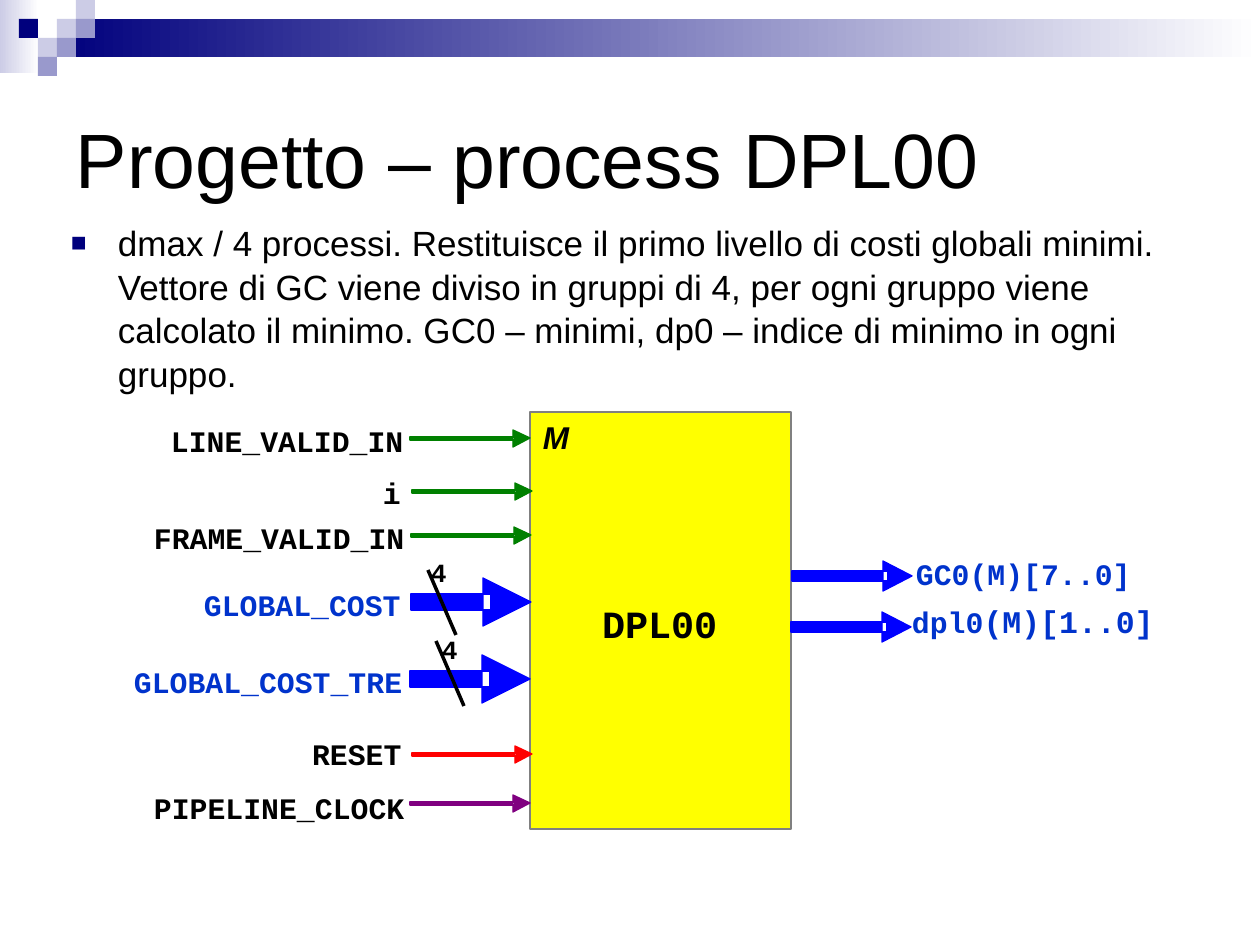
from dataclasses import dataclass
from typing import NamedTuple

from lxml.etree import SubElement
from pptx import Presentation
from pptx.dml.color import RGBColor as Rgb
from pptx.enum.shapes import MSO_CONNECTOR as Connector, MSO_SHAPE as Shape
from pptx.enum.text import MSO_ANCHOR as Anchor, PP_ALIGN as Align
from pptx.oxml.ns import qn
from pptx.util import Emu, Pt

EMU_PER_PX = 914400 / 126


class Box(NamedTuple):
    """A region in px."""
    left: int
    top: int
    width: int
    height: int

    def inner(self, left, top, width, height):
        """Return a box placed relative to this one."""
        return Box(self.left + left, self.top + top, width, height)


class ArrowStyle(NamedTuple):
    """Arrow proportions in px."""
    shaft: int
    head: int
    head_length: int
    overlap: int


@dataclass(frozen=True)
class Theme:
    """Colours, fonts and type sizes of the slide."""
    black: str = "000000"
    white: str = "FFFFFF"
    navy: str = "00007D"
    pale: str = "CCCCE6"
    lilac: str = "9999CC"
    yellow: str = "FFFF00"
    grey: str = "808080"
    green: str = "008000"
    red: str = "FF0000"
    purple: str = "800080"
    blue: str = "0000FF"
    bus: str = "0033CC"
    sans: str = "Arial"
    mono: str = "Courier New"
    title: int = 44
    body: int = 20
    block: int = 22
    index: int = 18
    signal: int = 17
    width_mark: int = 15


THEME = Theme()
THIN = ArrowStyle(3, 17, 17, 2)
WIDE = ArrowStyle(16, 48, 48, 8)
OUTPUT = ArrowStyle(10, 30, 29, 5)


def px(length):
    """Turn px into EMU."""
    return Emu(round(length * EMU_PER_PX))


def color(value):
    """Turn a hex string into a colour."""
    return Rgb.from_string(value)


def write(frame, *pieces, size, font=THEME.mono, ink=THEME.black, bold=False,
          italic=False, inset=(0, 0), anchor=Anchor.TOP):
    """Write text pieces, or (text, size) pairs, as one formatted paragraph."""
    frame.word_wrap = True
    frame.vertical_anchor = anchor
    frame.margin_left = frame.margin_right = px(inset[0])
    frame.margin_top = frame.margin_bottom = px(inset[1])
    para = frame.paragraphs[0]
    para.alignment = Align.LEFT
    for piece in pieces:
        text, points = piece if isinstance(piece, tuple) else (piece, size)
        span = para.add_run()
        span.text = text
        span.font.name, span.font.size = font, Pt(points)
        span.font.bold, span.font.italic = bold, italic
        span.font.color.rgb = color(ink)
    return para


def add_text(page, box, *pieces, **style):
    """Add a text box."""
    frame = page.shapes.add_textbox(*map(px, box)).text_frame
    return write(frame, *pieces, **style)


def add_rect(page, box, fill=None, fade_to=None, line=None):
    """Add a rectangle with a plain, fading or empty fill."""
    rect = page.shapes.add_shape(Shape.RECTANGLE, *map(px, box))
    rect.shadow.inherit = False
    if fade_to:
        rect.fill.gradient()
        rect.fill.gradient_angle = 0
        for stop, value, position in zip(rect.fill.gradient_stops, (fill, fade_to), (0, 1)):
            stop.color.rgb, stop.position = color(value), position
    elif fill:
        rect.fill.solid()
        rect.fill.fore_color.rgb = color(fill)
    else:
        rect.fill.background()
    if line:
        rect.line.color.rgb, rect.line.width = color(line), Pt(0)
    else:
        rect.line.fill.background()
    return rect


def add_arrow(page, left, middle, length, style, ink):
    """Add a right-pointing arrow whose head overlaps its shaft."""
    tip, base = left + length, left + length - style.head_length
    top, head_top = middle - style.shaft // 2, middle - style.head // 2
    end, bottom = base + style.overlap, top + style.shaft
    builder = page.shapes.build_freeform(left, top, EMU_PER_PX)
    builder.add_line_segments([(end, top), (end, bottom), (left, bottom)])
    builder.move_to(base, head_top)
    builder.add_line_segments([(tip, middle), (base, head_top + style.head)])
    arrow = builder.convert_to_shape()
    arrow.shadow.inherit = False
    arrow.fill.solid()
    arrow.fill.fore_color.rgb = color(ink)
    arrow.line.color.rgb, arrow.line.width = color(ink), Pt(0)


def add_bus_width(page, box, text, text_box):
    """Add a slanted bus mark with its width."""
    ends = box.left, box.top, box.left + box.width, box.top + box.height
    slash = page.shapes.add_connector(Connector.STRAIGHT, *map(px, ends))
    slash.line.color.rgb, slash.line.width = color(THEME.black), Pt(0)
    SubElement(slash._element.spPr, qn("a:effectLst"))
    add_text(page, text_box, text, size=THEME.width_mark, bold=True)


def add_banner(page, box):
    """Add the fading band and the squares in the top corner."""
    cell = 19
    add_rect(page, box.inner(0, 0, 39, 73), THEME.pale, THEME.white)
    add_rect(page, box.inner(3 * cell, cell, box.width - 3 * cell, 2 * cell),
             THEME.navy, THEME.white)
    squares = ((3, 1, THEME.pale), (4, 0, THEME.pale), (4, 1, THEME.lilac),
               (2, 2, THEME.pale), (1, 1, THEME.navy), (3, 2, THEME.lilac),
               (2, 3, THEME.lilac))
    for column, row, fill in squares:
        add_rect(page, box.inner(column * cell, row * cell, cell, cell), fill)


def add_heading(page, box):
    """Add the title and the bulleted description."""
    add_text(page, box.inner(5, 0, 1134, 189), "Progetto – process DPL00",
             size=THEME.title, font=THEME.sans, inset=(13, 6), anchor=Anchor.MIDDLE)
    para = add_text(
        page, box.inner(0, 151, 1134, 179),
        "dmax / 4 processi. Restituisce il primo livello di costi globali minimi. "
        "Vettore di GC viene diviso in gruppi di 4, per ogni gruppo viene calcolato "
        "il minimo. GC0 – minimi, dp0 – indice di minimo in ogni gruppo.",
        size=THEME.body, font=THEME.sans, inset=(13, 6))
    para.line_spacing = 1.04
    props = para._p.get_or_add_pPr()
    props.set("marL", str(px(47)))
    props.set("indent", str(-px(47)))
    SubElement(SubElement(props, qn("a:buClr")), qn("a:srgbClr"), val=THEME.navy)
    SubElement(props, qn("a:buSzPct"), val="75000")
    SubElement(props, qn("a:buFont"), typeface=THEME.sans)
    SubElement(props, qn("a:buChar"), char="■")


def add_diagram(page, box):
    """Add the block with its input and output signals."""
    block = box.inner(396, 0, 261, 417)
    body = add_rect(page, block, THEME.yellow)
    write(body.text_frame, "M", size=THEME.index, font=THEME.sans, bold=True,
          italic=True, inset=(13, 6))
    add_rect(page, block, line=THEME.grey)
    add_text(page, box.inner(468, 188, 145, 58), "DPL00", size=THEME.block, bold=True)
    inputs = (
        ("LINE_VALID_IN", 37, 11, 251, 276, 26, THIN, THEME.green, THEME.black),
        ("i", 249, 63, 35, 278, 79, THIN, THEME.green, THEME.black),
        ("FRAME_VALID_IN", 20, 108, 268, 277, 123, THIN, THEME.green, THEME.black),
        ("GLOBAL_COST", 70, 175, 215, 277, 190, WIDE, THEME.blue, THEME.bus),
        ("GLOBAL_COST_TRE", 0, 252, 287, 276, 267, WIDE, THEME.blue, THEME.bus),
        ("RESET", 178, 324, 107, 278, 342, THIN, THEME.red, THEME.black),
        ("PIPELINE_CLOCK", 20, 378, 268, 276, 391, THIN, THEME.purple, THEME.black))
    outputs = (
        ("GC0(M)[7..0]", 782, 144, 231, 658, 164, OUTPUT, THEME.blue, THEME.bus),
        (("dpl0", ("(M)[1..0]", THEME.index)), 778, 190, 253, 657, 215, OUTPUT,
         THEME.blue, THEME.bus))
    for name, left, top, width, start, middle, style, ink, text_ink in inputs + outputs:
        pieces = name if isinstance(name, tuple) else (name,)
        add_text(page, box.inner(left, top, width, 43), *pieces,
                 size=THEME.signal, ink=text_ink, bold=True)
        add_arrow(page, box.left + start, box.top + middle, 120, style, ink)
    for left, top, text_left, text_top in ((294, 158, 297, 144), (302, 229, 308, 221)):
        add_bus_width(page, box.inner(left, top, 28, 65), "4",
                      box.inner(text_left, text_top, 16, 32))


def main():
    """Build and save the slide."""
    deck = Presentation()
    deck.slide_width, deck.slide_height = px(1260), px(945)
    page = deck.slides.add_slide(deck.slide_layouts[6])
    add_banner(page, Box(0, 0, 1260, 76))
    add_heading(page, Box(58, 63, 1139, 330))
    add_diagram(page, Box(134, 412, 1031, 421))
    deck.save("out.pptx")


if __name__ == "__main__":
    main()
